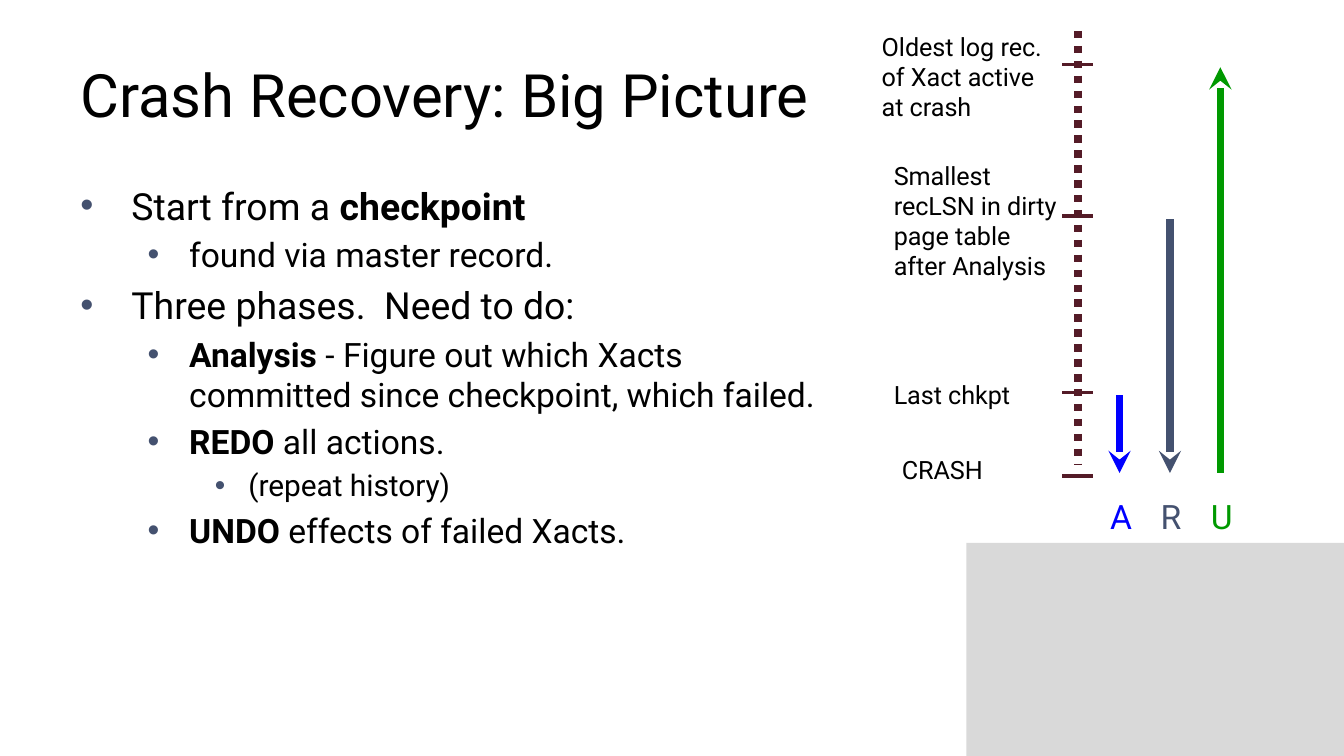
"""Build the crash recovery slide: phase bullets beside a log timeline."""
from pptx import Presentation
from pptx.dml.color import RGBColor as RGB
from pptx.enum.dml import MSO_LINE as Dash
from pptx.enum.shapes import MSO_CONNECTOR as Conn, MSO_SHAPE as Shape
from pptx.enum.text import MSO_ANCHOR as Anchor, MSO_AUTO_SIZE as Fit
from pptx.oxml.ns import qn
from pptx.util import Inches, Pt
from lxml.etree import SubElement

THEME = {
    "font": "Roboto", "ink": "000000", "bullet": "44516F", "log": "541B27",
    "panel": "D9D9D9", "A": "0000FF", "R": "44516F", "U": "009900",
    "title": 32, "body": (20, 18, 16), "label": 13.5, "phase": 18,
    "thick": 4, "thin": 2,
}
TITLE = "Crash Recovery: Big Picture"
BULLETS = [
    (0, [("Start from a ", False), ("checkpoint", True)]),
    (1, [("found via master record.", False)]),
    (0, [("Three phases.  Need to do:", False)]),
    (1, [("Analysis", True),
         (" - Figure out which Xacts committed since checkpoint, which failed.", False)]),
    (1, [("REDO", True), (" all actions.", False)]),
    (2, [("(repeat history)", False)]),
    (1, [("UNDO", True), (" effects of failed Xacts.", False)]),
]
EVENTS = [
    ("Oldest log rec. of Xact active at crash", 0.48, (6.49, 0.19, 1.38, 0.76)),
    ("Smallest recLSN in dirty page table after Analysis", 1.61, (6.58, 1.15, 1.38, 1.21)),
    ("Last chkpt", 2.92, (6.58, 2.78, 1.38, 0.3)),
    ("CRASH", 3.54, (6.64, 3.34, 1.38, 0.3)),
]
PHASES = [("A", 2, "tailEnd"), ("R", 1, "tailEnd"), ("U", 0, "headEnd")]
INDENTS = [(0.38, -0.38), (0.81, -0.31), (1.25, -0.25)]
WIDTH = 10
HEIGHT = WIDTH * 9 / 16
LOG_X, LOG_TOP, LOG_END, TICK = 8.02, 0.23, 3.46, 0.23
PHASE_X, PHASE_STEP, PHASE_Y, GAP = 8.33, 3 / 8, 3.65, 0.02
TIGHT = (0.07, 0.04)


def add_box(s, box, inset=(0.1, 0.05), wrap=True, anchor=Anchor.TOP, fit=Fit.NONE):
    tf = s.shapes.add_textbox(*map(Inches, box)).text_frame
    x, y = map(Inches, inset)
    formats = {"word_wrap": wrap, "vertical_anchor": anchor, "auto_size": fit,
               "margin_left": x, "margin_right": x, "margin_top": y, "margin_bottom": y}
    for name, value in formats.items():
        setattr(tf, name, value)
    return tf


def add_run(p, text, size, color=THEME["ink"], bold=False):
    r = p.add_run()
    r.text = text
    for name, value in {"name": THEME["font"], "size": Pt(size), "bold": bold}.items():
        setattr(r.font, name, value)
    r.font.color.rgb = RGB.from_string(color)


def add_label(s, box, text, size, color=THEME["ink"], wrap=True):
    tf = add_box(s, box, TIGHT, wrap, fit=Fit.SHAPE_TO_FIT_TEXT)
    add_run(tf.paragraphs[0], text, size, color)


def add_line(s, start, end, color, width, dash=None, arrow=None):
    c = s.shapes.add_connector(Conn.STRAIGHT, *map(Inches, start + end))
    c.line.color.rgb = RGB.from_string(color)
    c.line.width = Pt(width)
    if dash:
        c.line.dash_style = dash
    if arrow:
        SubElement(c.line._get_or_add_ln(), qn(f"a:{arrow}"), type="stealth")
    SubElement(c._element.spPr, qn("a:effectLst"))


def add_bullet(p, level, runs):
    size = THEME["body"][level]
    p.level = level
    p.space_before = Pt(size * 0.2)
    for text, bold in runs:
        add_run(p, text, size, bold=bold)
    pPr = p._p.get_or_add_pPr()
    for name, value in zip(("marL", "indent"), INDENTS[level]):
        pPr.set(name, str(Inches(value)))
    SubElement(SubElement(pPr, qn("a:buClr")), qn("a:srgbClr"), val=THEME["bullet"])
    SubElement(pPr, qn("a:buFont"), typeface="Arial")
    SubElement(pPr, qn("a:buChar"), char="•")


def add_panel(s):
    left, top = 7.19, 4.04
    sp = s.shapes.add_shape(Shape.RECTANGLE, *map(Inches, (left, top, WIDTH - left, HEIGHT - top)))
    sp.shadow.inherit = False
    sp.fill.solid()
    sp.fill.fore_color.rgb = RGB.from_string(THEME["panel"])
    sp.line.fill.background()


def add_text(s):
    tf = add_box(s, (0.5, 0.23, 9, 0.94), anchor=Anchor.MIDDLE)
    add_run(tf.paragraphs[0], TITLE, THEME["title"])
    tf = add_box(s, (0.5, 1.31, 5.76, 3.71))
    for i, (level, runs) in enumerate(BULLETS):
        add_bullet(tf.add_paragraph() if i else tf.paragraphs[0], level, runs)


def add_timeline(s):
    add_line(s, (LOG_X, LOG_TOP), (LOG_X, LOG_END), THEME["log"], THEME["thick"], Dash.ROUND_DOT)
    for text, y, box in EVENTS:
        add_label(s, box, text, THEME["label"])
        add_line(s, (LOG_X - TICK / 2, y), (LOG_X + TICK / 2, y), THEME["log"], THEME["thin"])
    crash = EVENTS[-1][1]
    for i, (name, event, arrow) in enumerate(PHASES):
        x = PHASE_X + i * PHASE_STEP
        start = EVENTS[event][1] + GAP
        add_line(s, (x, start), (x, crash - GAP), THEME[name], THEME["thick"], arrow=arrow)
        add_label(s, (x - 0.14, PHASE_Y, 0.32, 0.38), name, THEME["phase"], THEME[name], False)


def main():
    prs = Presentation()
    prs.slide_width, prs.slide_height = Inches(WIDTH), Inches(HEIGHT)
    s = prs.slides.add_slide(prs.slide_layouts[6])
    for build in (add_panel, add_text, add_timeline):
        build(s)
    prs.save("out.pptx")


if __name__ == "__main__":
    main()
